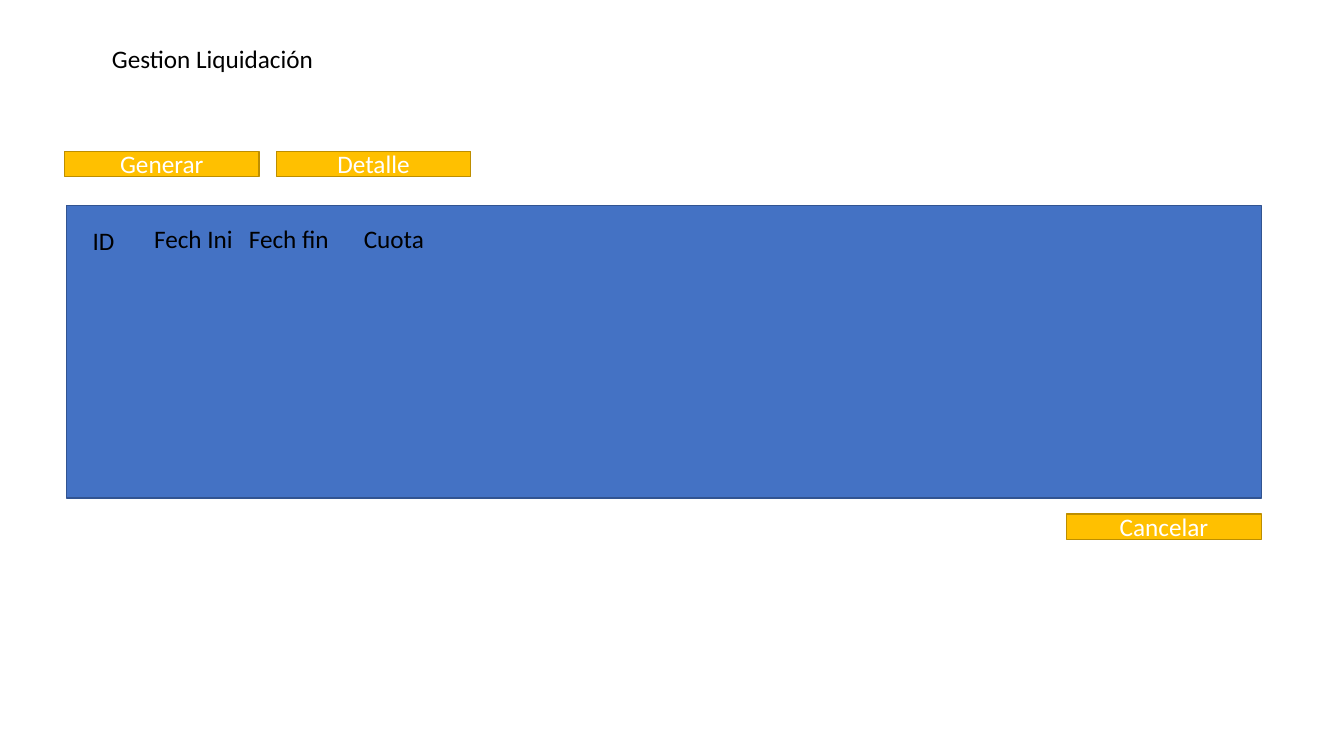
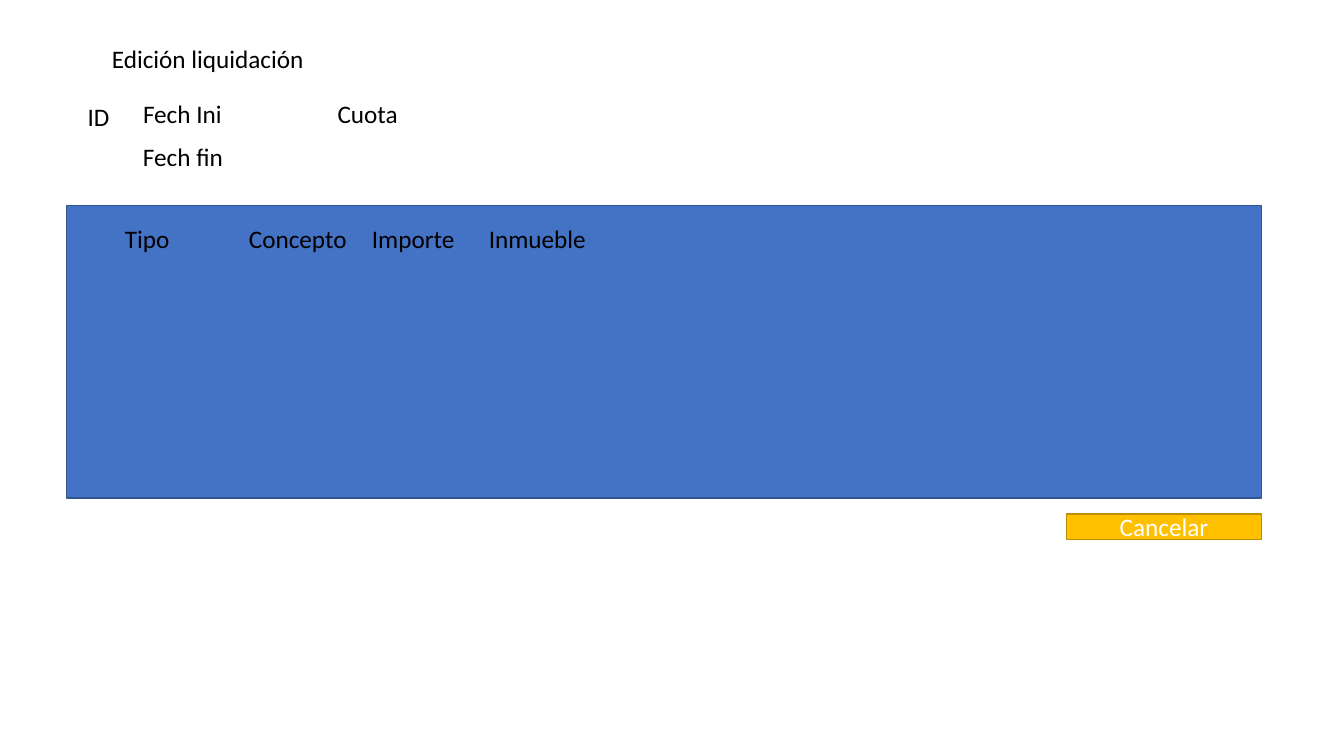
import pptx
import pptx.util
import pptx.dml.color
import pptx.enum.shapes
import pptx.enum.text
from dataclasses import dataclass

Inches = pptx.util.Inches
Align = pptx.enum.text.PP_ALIGN
Anchor = pptx.enum.text.MSO_ANCHOR


@dataclass(frozen=True)
class Theme:
    font: str = "Calibri"
    size: int = 18
    line_width: int = 1
    text: str = "000000"
    button_text: str = "FFFFFF"
    button: str = "FFC000"
    button_edge: str = "BD8E00"
    panel: str = "4472C4"
    panel_edge: str = "325491"


def rgb(value):
    return pptx.dml.color.RGBColor.from_string(value)


class Screen:
    """A form mock-up: title, labels, buttons and a list panel."""

    def __init__(self, deck, theme, title):
        self.theme = theme
        self.slide = deck.slides.add_slide(deck.slide_layouts[5])
        heading = self.slide.shapes.title
        heading.left, heading.top = Inches(1.01), Inches(0.38)
        heading.width, heading.height = Inches(2.3), Inches(0.4)
        self.set_text(heading, title, theme.text, Align.LEFT, Anchor.TOP)
        self.panel()
        self.button("Cancelar", 10.58, 5.1)

    def set_text(self, shape, text, color, align, anchor):
        frame = shape.text_frame
        frame.word_wrap = True
        frame.auto_size = pptx.enum.text.MSO_AUTO_SIZE.NONE
        frame.vertical_anchor = anchor
        frame.text = text
        paragraph = frame.paragraphs[0]
        paragraph.alignment = align
        paragraph.font.name = self.theme.font
        paragraph.font.size = pptx.util.Pt(self.theme.size)
        paragraph.font.color.rgb = rgb(color)

    def box(self, left, top, width, height, fill, edge):
        shape = self.slide.shapes.add_shape(
            pptx.enum.shapes.MSO_SHAPE.RECTANGLE,
            Inches(left), Inches(top), Inches(width), Inches(height))
        shape.shadow.inherit = False
        shape.fill.solid()
        shape.fill.fore_color.rgb = rgb(fill)
        shape.line.color.rgb = rgb(edge)
        shape.line.width = pptx.util.Pt(self.theme.line_width)
        return shape

    def panel(self):
        self.box(0.66, 2.04, 11.85, 2.9, self.theme.panel, self.theme.panel_edge)

    def button(self, text, left, top):
        shape = self.box(left, top, 1.93, 0.25,
                         self.theme.button, self.theme.button_edge)
        self.set_text(shape, text, self.theme.button_text, Align.CENTER, Anchor.MIDDLE)

    def label(self, text, left, top, width):
        field = self.slide.shapes.add_textbox(
            Inches(left), Inches(top), Inches(width), Inches(0.4))
        self.set_text(field, text, self.theme.text, Align.LEFT, Anchor.TOP)

    def column_heads(self, heads):
        for text, left, width in heads:
            self.label(text, left, 2.17, width)


theme = Theme()
deck = pptx.Presentation()
deck.slide_width, deck.slide_height = Inches(13.33), Inches(7.5)

# Settlement list
management = Screen(deck, theme, "Gestion Liquidación")
for position, action in enumerate(("Generar", "Detalle")):
    management.button(action, 0.64 + 2.1 * position, 1.5)
management.label("ID", 0.82, 2.19, 0.5)
management.column_heads([
    ("Fech Ini", 1.43, 1.05),
    ("Fech fin", 2.37, 1.06),
    ("Cuota", 3.51, 0.86),
])

# Settlement editor: record fields, then its line items
editor = Screen(deck, theme, "Edición liquidación")
for text, left, top, width in [
    ("ID", 0.77, 0.96, 0.5),
    ("Fech Ini", 1.32, 0.93, 1.05),
    ("Fech fin", 1.32, 1.35, 1.06),
    ("Cuota", 3.25, 0.93, 0.86),
]:
    editor.label(text, left, top, width)
editor.column_heads([
    ("Tipo", 1.14, 0.7),
    ("Concepto", 2.37, 1.22),
    ("Importe", 3.59, 1.09),
    ("Inmueble", 4.75, 1.23),
])

deck.save("out.pptx")
